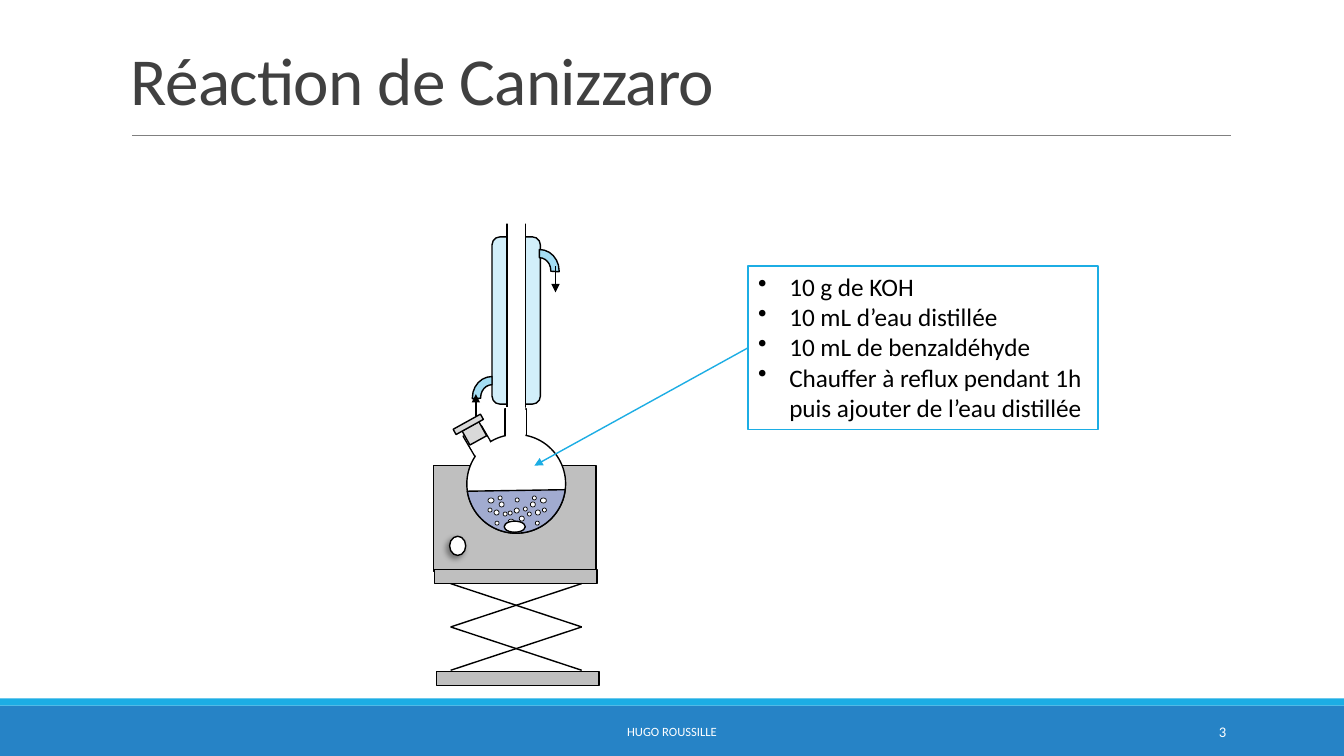
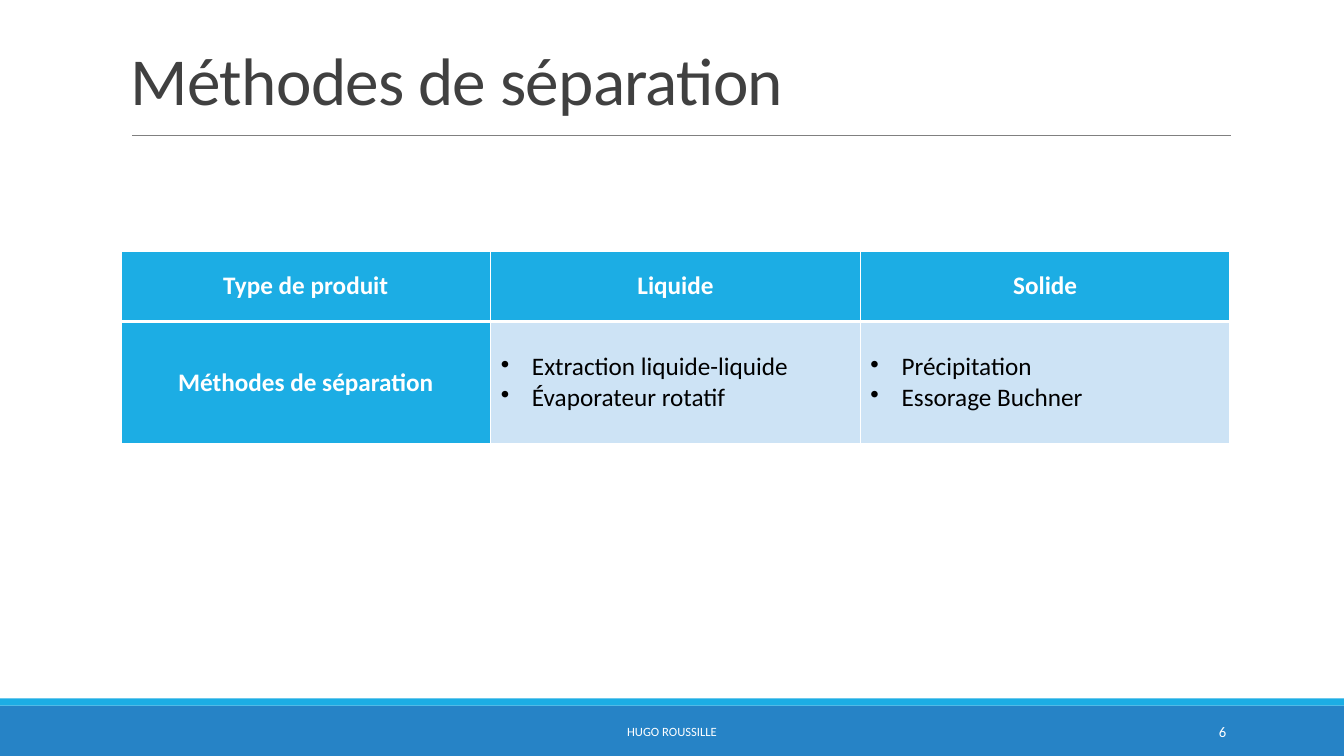
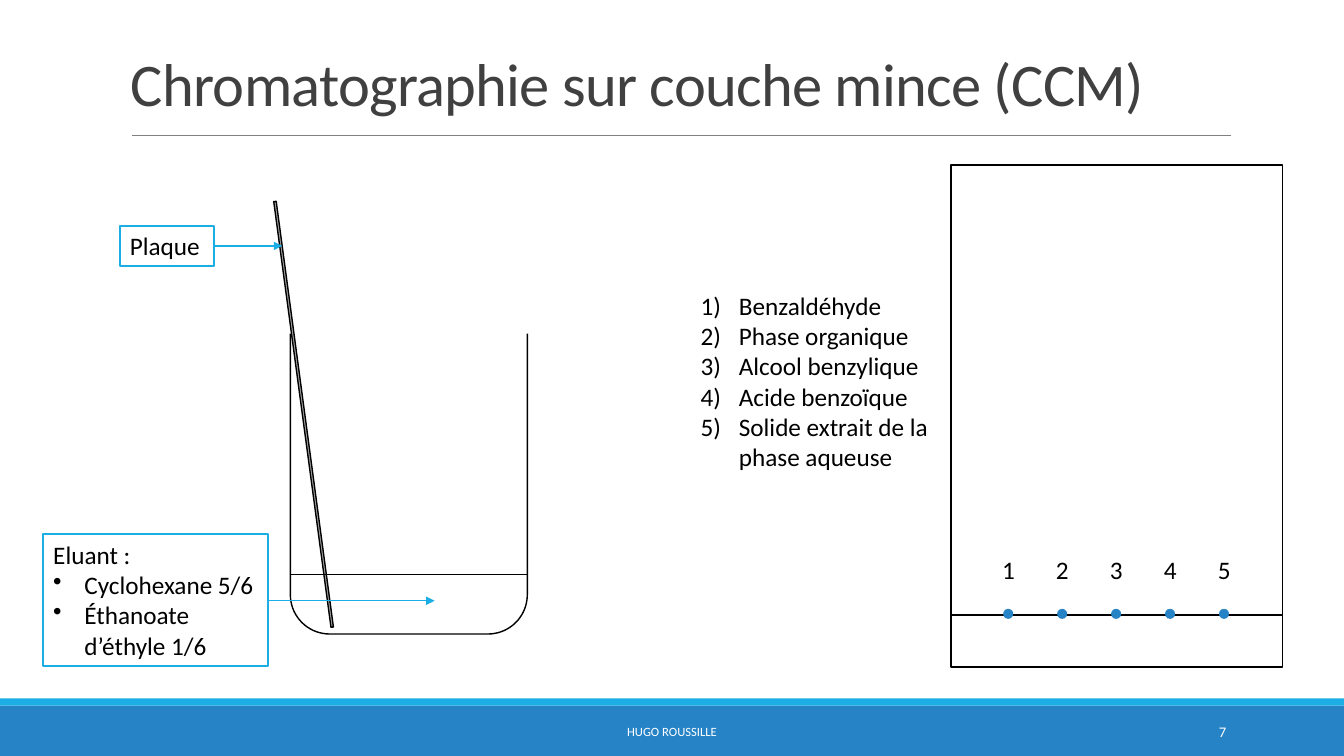
from math import cos, radians, sin

from pptx import Presentation
from pptx.dml.color import RGBColor
from pptx.enum.shapes import MSO_CONNECTOR, MSO_SHAPE
from pptx.enum.text import MSO_ANCHOR, PP_ALIGN
from pptx.oxml.ns import qn
from pptx.util import Inches, Pt
from lxml import etree

RECT, ROUND_RECT = MSO_SHAPE.RECTANGLE, MSO_SHAPE.ROUNDED_RECTANGLE
OVAL, CHORD = MSO_SHAPE.OVAL, MSO_SHAPE.CHORD
ARC, PLATE = MSO_SHAPE.BLOCK_ARC, MSO_SHAPE.PARALLELOGRAM
STRAIGHT = MSO_CONNECTOR.STRAIGHT
TOP, MIDDLE, BOTTOM = MSO_ANCHOR.TOP, MSO_ANCHOR.MIDDLE, MSO_ANCHOR.BOTTOM
LEFT, CENTER, RIGHT = PP_ALIGN.LEFT, PP_ALIGN.CENTER, PP_ALIGN.RIGHT

FONT = "Calibri"
BLACK, WHITE, TITLE_GREY, RULE_GREY = "000000", "FFFFFF", "404040", "808080"
BLUE, CYAN, PALE_BLUE = "2683C6", "1CADE4", "CDE3F5"
WATER, HOSE, LIQUID = "D2EFFA", "A4DEF4", "A1ABD0"
METAL, STOPPER, PLATE_GREY = "BFBFBF", "D9D9D9", "A6A6A6"
AUTHOR = "HUGO ROUSSILLE"
BULLET, NUMBER = ("buChar", {"char": "•"}), ("buAutoNum", {"type": "arabicParenR"})


def rgb(color):
    return RGBColor.from_string(color)


def child(parent, tag, **attributes):
    return etree.SubElement(parent, qn("a:" + tag), attributes)


def color_child(parent, color):
    return child(child(parent, "solidFill"), "srgbClr", val=color)


# Text

def set_list(paragraph, marker, indent):
    properties = paragraph._p.get_or_add_pPr()
    properties.set("marL", str(Inches(indent)))
    properties.set("indent", str(-Inches(indent)))
    tag, attributes = marker
    child(properties, tag, **attributes)


def write(frame, lines, size=18, color=BLACK, align=LEFT, anchor=TOP,
          bold=False, marker=None, indent=0.31, plain=0, wrap=True):
    """Fill a frame; the first `plain` lines take no list marker."""
    frame.word_wrap = wrap
    frame.vertical_anchor = anchor
    frame.text = "\n".join(lines)
    for index, paragraph in enumerate(frame.paragraphs):
        if marker and index >= plain:
            set_list(paragraph, marker, indent)
        paragraph.alignment = align
        for run in paragraph.runs:
            run.font.name = FONT
            run.font.size = Pt(size)
            run.font.bold = bold
            run.font.color.rgb = rgb(color)


def text(slide, box, lines, **style):
    frame = slide.shapes.add_textbox(*map(Inches, box)).text_frame
    write(frame, lines, **style)
    return frame


# Shapes and lines

def outline(shape, color, width):
    if color is None:
        shape.line.fill.background()
    else:
        shape.line.color.rgb = rgb(color)
        shape.line.width = Pt(width)


def shape(slide, kind, box, fill, line=BLACK, width=1, turn=0, adjust=(), flip=False):
    item = slide.shapes.add_shape(kind, *map(Inches, box))
    item.shadow.inherit = False
    item.fill.solid()
    item.fill.fore_color.rgb = rgb(fill)
    outline(item, line, width)
    item.rotation = turn
    for index, value in enumerate(adjust):
        item.adjustments[index] = value
    if flip:
        item._element.spPr.get_or_add_xfrm().set("flipH", "1")
    return item


def line(slide, start, end, color=BLACK, width=1, arrow=False):
    connector = slide.shapes.add_connector(STRAIGHT, *map(Inches, (*start, *end)))
    outline(connector, color, width)
    properties = connector._element.spPr
    if arrow:
        child(properties.find(qn("a:ln")), "tailEnd", type="triangle")
    child(properties, "effectLst")


def callout(slide, box, lines, start, end, **style):
    """Framed note with an arrow to the part it describes."""
    note = shape(slide, RECT, box, WHITE, CYAN, 1.25)
    write(note.text_frame, lines, **style)
    line(slide, start, end, CYAN, arrow=True)


def soft_shadow(item):
    effects = item._element.spPr.find(qn("a:effectLst"))
    shadow = child(effects, "outerShdw", blurRad=str(Pt(4)), dist=str(Pt(3)),
                   dir=str(135 * 60000), algn="ctr", rotWithShape="0")
    child(child(shadow, "srgbClr", val=BLACK), "alpha", val="40000")


# Shared slide frame

def new_slide(deck, title, number, title_size=48):
    slide = deck.slides.add_slide(deck.slide_layouts[6])
    shape(slide, RECT, (0, 7, 13.33, 0.5), BLUE, None)
    shape(slide, RECT, (0, 6.93, 13.33, 0.07), CYAN, None)
    line(slide, (1.31, 1.34), (12.21, 1.34), RULE_GREY, 0.5)
    heading = text(slide, (1.2, 0.31, 11, 0.92), [title], size=title_size,
                   color=TITLE_GREY, anchor=BOTTOM).paragraphs[0]
    heading.line_spacing = 0.85
    heading.runs[0]._r.get_or_add_rPr().set("spc", "-50")
    text(slide, (4.03, 7.06, 5.27, 0.4), [AUTHOR], size=9, color=WHITE,
         align=CENTER, anchor=MIDDLE)
    text(slide, (10.83, 7.06, 1.43, 0.4), [str(number)], size=10.5, color=WHITE,
         align=RIGHT, anchor=MIDDLE)
    return slide


# Reflux apparatus

def condenser(slide):
    shape(slide, ROUND_RECT, (4.88, 2.35, 0.48, 1.66), WATER)
    shape(slide, RECT, (5.03, 2.21, 0.18, 1.93), WHITE)
    shape(slide, RECT, (4.99, 2.16, 0.24, 0.06), WHITE, None)
    shape(slide, RECT, (5.03, 4.13, 0.18, 0.08), WHITE, WHITE, 1.5)
    bend = (108, 163.84, 0.21)
    shape(slide, ARC, (5.14, 2.49, 0.42, 0.39), HOSE, turn=90, adjust=bend)
    line(slide, (5.51, 2.64), (5.51, 2.9), arrow=True)
    shape(slide, ARC, (4.67, 3.75, 0.42, 0.39), HOSE, turn=270, adjust=bend, flip=True)
    line(slide, (4.72, 4.16), (4.72, 3.91), arrow=True)


def heater_and_jack(slide):
    shape(slide, RECT, (4.3, 4.62, 1.61, 1.05), METAL)
    soft_shadow(shape(slide, OVAL, (4.46, 5.32, 0.16, 0.19), WHITE))
    for left, top in ((4.31, 5.65), (4.33, 6.66)):
        shape(slide, RECT, (left, top, 1.61, 0.14), METAL)
    for top in (5.79, 6.22):
        for start, end in ((4.47, 5.77), (5.77, 4.47)):
            line(slide, (start, top), (end, top + 0.43))


def bubbles(slide):
    mirror_sum = 10.26
    paired = ((4.84, 5.04, 0.04), (4.9, 5.06, 0.05), (4.95, 4.98, 0.05),
              (4.84, 4.94, 0.06), (4.94, 4.92, 0.04), (4.99, 5.08, 0.04),
              (4.91, 5.17, 0.04))
    central = ((5.04, 5.07, 0.04), (5.1, 5.04, 0.05), (5.15, 5.12, 0.05),
               (5.04, 5.15, 0.06), (5.14, 5.19, 0.04), (5.19, 5.03, 0.04),
               (5.11, 4.94, 0.04))
    mirrored = tuple((mirror_sum - left - size, top, size) for left, top, size in paired)
    for left, top, size in paired + mirrored + central:
        shape(slide, OVAL, (left, top, size, min(size, 0.05)), WHITE, width=0.5)


def flask(slide):
    bowl = (4.63, 4.31, 0.98, 0.98)
    # Necks, then the bowl, then white fills that open the necks into it
    shape(slide, RECT, (4.67, 4.25, 0.21, 0.36), WHITE, turn=329.6)
    shape(slide, RECT, (5.01, 4.06, 0.21, 0.36), WHITE)
    shape(slide, OVAL, bowl, WHITE)
    shape(slide, RECT, (4.68, 4.23, 0.19, 0.4), WHITE, None, turn=329.6)
    shape(slide, RECT, (5.02, 4.04, 0.19, 0.4), WHITE, None)
    shape(slide, CHORD, bowl, LIQUID, turn=292.7, adjust=(44.47, 143.22))
    bubbles(slide)
    # Stirring bar and stopper
    shape(slide, OVAL, (5, 5.17, 0.21, 0.11), WHITE)
    for box in ((4.61, 4.22, 0.19, 0.16), (4.49, 4.18, 0.31, 0.06)):
        shape(slide, RECT, box, STOPPER, turn=331)


def reaction_slide(deck):
    slide = new_slide(deck, "Réaction de Canizzaro", 3)
    condenser(slide)
    heater_and_jack(slide)
    flask(slide)
    steps = ["10 g de KOH", "10 mL d’eau distillée", "10 mL de benzaldéhyde",
             "Chauffer à reflux pendant 1h puis ajouter de l’eau distillée"]
    callout(slide, (7.42, 2.64, 3.47, 1.62), steps, (7.42, 3.45), (5.3, 4.62),
            marker=BULLET)


# Separation table

def cell_borders(cell, top, bottom):
    properties = cell._tc.get_or_add_tcPr()
    sides = (("lnL", 1), ("lnR", 1), ("lnT", top), ("lnB", bottom))
    for index, (tag, width) in enumerate(sides):
        border = child(properties, tag, w=str(Pt(width)))
        color_child(border, WHITE)
        properties.insert(index, border)


def separation_slide(deck):
    slide = new_slide(deck, "Méthodes de séparation", 6)
    rows = ((["Type de produit"], ["Liquide"], ["Solide"]),
            (["Méthodes de séparation"],
             ["Extraction liquide-liquide", "Évaporateur rotatif"],
             ["Précipitation", "Essorage Buchner"]))
    box = map(Inches, (1.2, 2.49, 11, 1.91))
    table = slide.shapes.add_table(2, 3, *box).table
    table.horz_banding = False
    for row, height in zip(table.rows, (0.7, 1.21)):
        row.height = Inches(height)
    for r, contents in enumerate(rows):
        for c, lines in enumerate(contents):
            cell = table.cell(r, c)
            header = r == 0 or c == 0
            cell.fill.solid()
            cell.fill.fore_color.rgb = rgb(CYAN if header else PALE_BLUE)
            if header:
                write(cell.text_frame, lines, color=WHITE, align=CENTER, bold=True)
            else:
                write(cell.text_frame, lines, marker=BULLET)
            cell.vertical_anchor = MIDDLE
            cell_borders(cell, *((1, 3) if r == 0 else (3, 1)))


# Thin-layer chromatography

def beaker(slide):
    left, right, top, bottom, radius = 2.88, 5.23, 3.31, 6.29, 0.39
    points = [(left, top)]
    for center, first in ((left + radius, 180), (right - radius, 90)):
        for angle in range(first, first - 91, -5):
            points.append((center + radius * cos(radians(angle)),
                           bottom - radius + radius * sin(radians(angle))))
    points.append((right, top))
    points = [(Inches(x), Inches(y)) for x, y in points]
    builder = slide.shapes.build_freeform(*points[0], scale=1.0)
    builder.add_line_segments(points[1:], close=False)
    glass = builder.convert_to_shape()
    glass.shadow.inherit = False
    glass.fill.background()
    outline(glass, BLACK, 1)
    shape(slide, PLATE, (2.96, 1.98, 0.11, 4.26), PLATE_GREY, turn=353.5,
          adjust=(0.78,), flip=True)
    line(slide, (left, 5.7), (right, 5.7))


def spotted_plate(slide):
    shape(slide, RECT, (9.43, 1.64, 3.29, 4.98), WHITE, width=1.25)
    line(slide, (9.43, 6.1), (12.72, 6.1))
    for spot in range(5):
        shift = 0.535 * spot
        shape(slide, OVAL, (9.95 + shift, 6.04, 0.1, 0.1), BLUE, None)
        text(slide, (9.84 + shift, 5.45, 0.33, 0.4), [str(spot + 1)], wrap=False)


def chromatography_slide(deck):
    slide = new_slide(deck, "Chromatographie sur couche mince (CCM)", 7, 43.2)
    beaker(slide)
    callout(slide, (0.43, 5.3, 2.23, 1.31),
            ["Eluant :", "Cyclohexane 5/6", "Éthanoate d’éthyle 1/6"],
            (2.66, 5.96), (4.31, 5.96), marker=BULLET, plain=1)
    callout(slide, (1.19, 2.24, 0.93, 0.4), ["Plaque"], (2.12, 2.44), (2.8, 2.44))
    spotted_plate(slide)
    samples = ["Benzaldéhyde", "Phase organique", "Alcool benzylique",
               "Acide benzoïque", "Solide extrait de la phase aqueuse"]
    text(slide, (6.85, 2.83, 2.52, 2.22), samples, marker=NUMBER, indent=0.38)


def main():
    deck = Presentation()
    deck.slide_width, deck.slide_height = Inches(13.33), Inches(7.5)
    reaction_slide(deck)
    separation_slide(deck)
    chromatography_slide(deck)
    deck.save("out.pptx")


if __name__ == "__main__":
    main()
